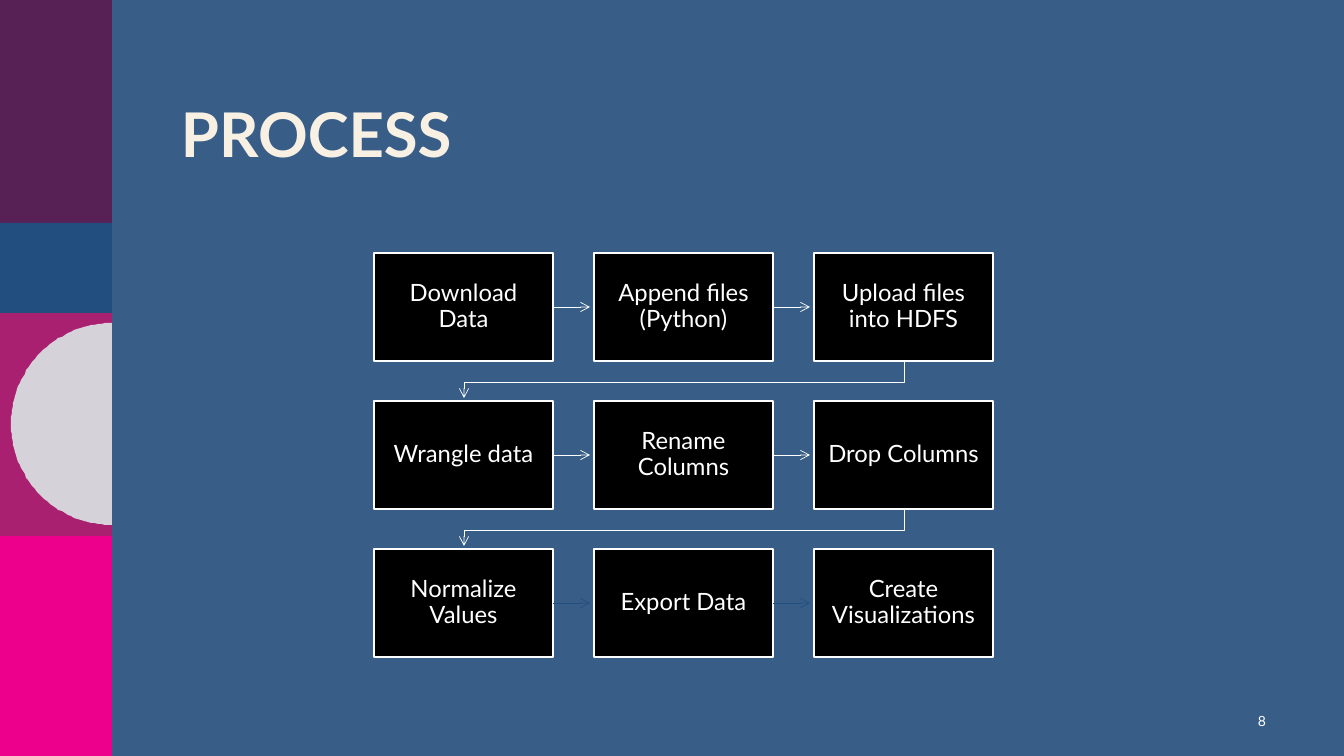
from math import cos, pi, sin

from lxml.etree import SubElement
from pptx import Presentation
from pptx.dml.color import RGBColor
from pptx.enum.shapes import MSO_CONNECTOR as CONN, MSO_SHAPE as SHAPE
from pptx.enum.text import MSO_ANCHOR as ANCHOR, PP_ALIGN as ALIGN
from pptx.oxml.ns import qn
from pptx.util import Emu, Pt

SCALE = 914400 / 100.8
WHITE, BLUE = "FFFFFF", "224E7F"
STEPS = [
    ["Download Data", "Append files (Python)", "Upload files into HDFS"],
    ["Wrangle data", "Rename Columns", "Drop Columns"],
    ["Normalize Values", "Export Data", "Create Visualizations"],
]
ROW_COLORS = [WHITE, WHITE, BLUE]


def px(n):
    return Emu(round(n * SCALE))


def color(value):
    return RGBColor.from_string(value)


def write(sp, text, size, fill=WHITE, bold=False, align=ALIGN.LEFT,
          anchor=ANCHOR.TOP, spacing=1.0, inset=None):
    tf = sp.text_frame
    tf.word_wrap = True
    tf.vertical_anchor = anchor
    if inset is not None:
        tf.margin_left = tf.margin_right = px(inset)
        tf.margin_top = tf.margin_bottom = px(inset)
    p = tf.paragraphs[0]
    p.alignment, p.line_spacing = align, spacing
    r = p.add_run()
    r.text = text
    r.font.name, r.font.size, r.font.bold = "Lato", Pt(size), bold
    r.font.color.rgb = color(fill)


def add_text(slide, box, text, **style):
    write(slide.shapes.add_textbox(*map(px, box)), text, **style)


def add_rect(slide, box, fill, line=None):
    sp = slide.shapes.add_shape(SHAPE.RECTANGLE, *map(px, box))
    sp.shadow.inherit = False
    sp.fill.solid()
    sp.fill.fore_color.rgb = color(fill)
    if line:
        sp.line.color.rgb = color(line)
        sp.line.width = Pt(1)
    else:
        sp.line.fill.background()
    return sp


def add_path(slide, points, close):
    builder = slide.shapes.build_freeform(*points[0], scale=SCALE)
    builder.add_line_segments(points[1:], close=close)
    sp = builder.convert_to_shape()
    sp.shadow.inherit = False
    return sp


def style_arrow(sp, line):
    sp.line.color.rgb = color(line)
    sp.line.width = Pt(0.5)
    SubElement(sp.line._get_or_add_ln(), qn("a:tailEnd"), type="arrow")


def side_band(slide, x, y, w, h):
    # Stacked colour blocks, back to front
    for top, height, fill in [(532, 224, "EC008C"), (312, 224, "AA2070"),
                              (0, 224, "582156"), (223, 90, BLUE)]:
        add_rect(slide, (x, y + top, w, height), fill)
    # Half disc against the right edge of the band
    radius, steps = 101, 90
    cx, cy = x + w, y + 424
    arc = [(cx - radius * sin(pi * i / steps), cy - radius * cos(pi * i / steps))
           for i in range(steps + 1)]
    sp = add_path(slide, arc, close=True)
    sp.fill.solid()
    sp.fill.fore_color.rgb = color("D5D2DA")
    sp.line.fill.background()


def next_arrow(slide, box_sp, x, y, length, line):
    cxn = slide.shapes.add_connector(CONN.STRAIGHT, px(x), px(y), px(x + length), px(y))
    cxn.begin_connect(box_sp, 3)
    style_arrow(cxn, line)
    SubElement(cxn._element.spPr, qn("a:effectLst"))


def row_arrow(slide, x1, x2, y, gap, length, line):
    mid = y + gap / 2
    sp = add_path(slide, [(x1, y), (x1, mid), (x2, mid), (x2, y + length)], close=False)
    sp.fill.background()
    style_arrow(sp, line)


def process_grid(slide, x, y, w, h):
    box_w, box_h, gap = 179, 108, 41
    reach = gap - 4
    step_x, step_y = (w - box_w) / 2, (h - box_h) / 2
    for row, (labels, line) in enumerate(zip(STEPS, ROW_COLORS)):
        top = y + row * step_y
        for col, label in enumerate(labels):
            left = x + col * step_x
            sp = add_rect(slide, (left, top, box_w, box_h), "000000", WHITE)
            write(sp, label, size=17, align=ALIGN.CENTER, anchor=ANCHOR.MIDDLE,
                  spacing=0.9, inset=13)
            if col < len(labels) - 1:
                next_arrow(slide, sp, left + box_w, top + box_h / 2, reach, line)
        # Return from the last box to the first one of the next row
        if row < len(STEPS) - 1:
            row_arrow(slide, left + box_w / 2, x + box_w / 2, top + box_h,
                      gap, reach, line)


def process_slide(prs):
    slide = prs.slides.add_slide(prs.slide_layouts[6])
    slide.background.fill.solid()
    slide.background.fill.fore_color.rgb = color("385E88")
    side_band(slide, 0, 0, 112, 756)
    add_text(slide, (171, 99, 1088, 150), "PROCESS", size=44, fill="F8F0E3",
             bold=True, spacing=0.9)
    process_grid(slide, 374, 253, 619, 404)
    # Page number
    add_text(slide, (1226, 701, 50, 40), "8", size=10, align=ALIGN.RIGHT,
             anchor=ANCHOR.MIDDLE)


def main():
    prs = Presentation()
    prs.slide_width, prs.slide_height = px(1344), px(756)
    process_slide(prs)
    prs.save("out.pptx")


if __name__ == "__main__":
    main()
